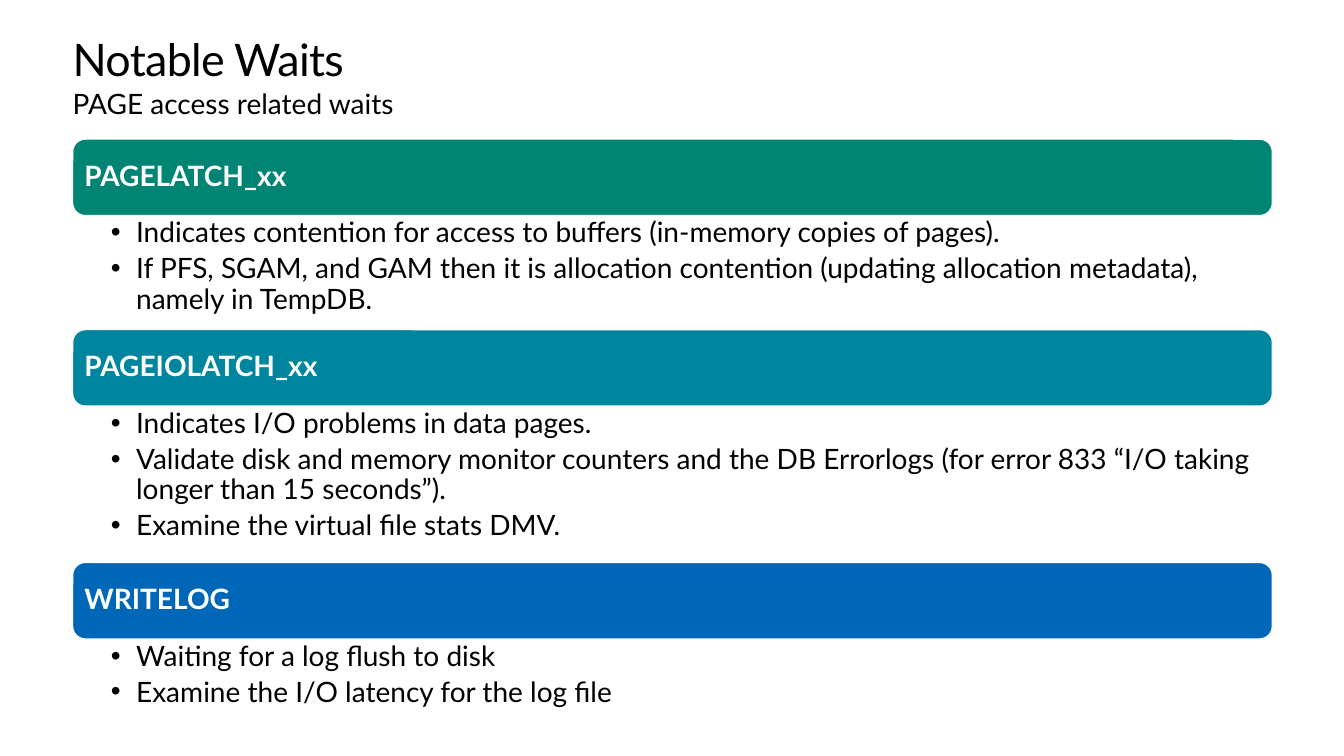
from dataclasses import dataclass

from lxml.etree import SubElement
from pptx import Presentation
from pptx.dml.color import RGBColor
from pptx.enum.shapes import MSO_SHAPE as Preset
from pptx.enum.text import MSO_ANCHOR as Anchor, MSO_AUTO_SIZE as AutoSize, PP_ALIGN as Align
from pptx.oxml.ns import qn
from pptx.util import Emu, Pt

EMU_PER_PX = 9144  # 100 px to the inch


@dataclass(frozen=True)
class Theme:
    font: str = "Lato"
    title_size: int = 32
    text_size: int = 20
    ink: str = "000000"
    paper: str = "FFFFFF"
    latch: str = "008575"
    io_latch: str = "00859E"
    log: str = "0067B8"


THEME = Theme()
LEFT, WIDTH = 72, 1190
FIRST_BAR_TOP, BAR_HEIGHT = 138, 76

# Heading, bar colour, list height, bullets
WAITS = [
    ("PAGELATCH_xx", THEME.latch, 113, [
        "Indicates contention for access to buffers (in-memory copies of pages).",
        "If PFS, SGAM, and GAM then it is allocation contention "
        "(updating allocation metadata), namely in TempDB.",
    ]),
    ("PAGEIOLATCH_xx", THEME.io_latch, 155, [
        "Indicates I/O problems in data pages.",
        "Validate disk and memory monitor counters and the DB Errorlogs "
        "(for error 833 “I/O taking longer than 15 seconds”).",
        "Examine the virtual file stats DMV.",
    ]),
    ("WRITELOG", THEME.log, 80, [
        "Waiting for a log flush to disk",
        "Examine the I/O latency for the log file",
    ]),
]


def px(length):
    return Emu(length * EMU_PER_PX)


def place(shape, top, height):
    """Give a shape the full content width at the given height on the slide."""
    shape.left, shape.top, shape.width, shape.height = map(px, (LEFT, top, WIDTH, height))


def add_bullet(paragraph):
    props = paragraph._p.get_or_add_pPr()
    props.set("marL", str(px(25)))
    props.set("indent", str(px(-25)))
    SubElement(props, qn("a:buFont")).set("typeface", "Arial")
    SubElement(props, qn("a:buChar")).set("char", "•")


def write(shape, lines, size=THEME.text_size, color=THEME.ink, bold=False, spacing=1.0,
          after=0, tracking=0, anchor=Anchor.TOP, margins=(0, 0, 0, 0), bullets=False):
    """Fill a shape with one paragraph per line; margins are left, top, right, bottom."""
    frame = shape.text_frame
    frame.word_wrap = True
    frame.auto_size = AutoSize.NONE
    frame.vertical_anchor = anchor
    (frame.margin_left, frame.margin_top,
     frame.margin_right, frame.margin_bottom) = map(px, margins)
    for index, line in enumerate(lines):
        paragraph = frame.paragraphs[0] if index == 0 else frame.add_paragraph()
        paragraph.alignment = Align.LEFT
        paragraph.line_spacing = spacing
        paragraph.space_before = Pt(0)
        paragraph.space_after = Pt(after)
        if bullets:
            add_bullet(paragraph)
        run = paragraph.add_run()
        run.text = line
        font = run.font
        font.name, font.size, font.bold = THEME.font, Pt(size), bold
        font.color.rgb = RGBColor.from_string(color)
        if tracking:
            run._r.get_or_add_rPr().set("spc", str(tracking))


def add_bar(slide, heading, color, top):
    bar = slide.shapes.add_shape(Preset.ROUNDED_RECTANGLE, 0, 0, 0, 0)
    place(bar, top, BAR_HEIGHT)
    bar.shadow.inherit = False
    bar.fill.solid()
    bar.fill.fore_color.rgb = RGBColor.from_string(color)
    bar.line.color.rgb = RGBColor.from_string(THEME.paper)
    bar.line.width = Pt(1)
    write(bar, [heading], color=THEME.paper, bold=True, spacing=0.9,
          anchor=Anchor.MIDDLE, margins=(8, 8, 8, 8))


def main():
    deck = Presentation()
    deck.slide_width, deck.slide_height = px(1333), px(750)
    comparison_layout = deck.slide_layouts[4]
    slide = deck.slides.add_slide(comparison_layout)
    title, subtitle, *wait_lists = slide.placeholders

    place(title, 35, 50)
    write(title, ["Notable Waits"], size=THEME.title_size, spacing=Pt(36.2), tracking=-50)
    place(subtitle, 86, 50)
    write(subtitle, ["PAGE access related waits"])

    top = FIRST_BAR_TOP
    for (heading, color, list_height, points), wait_list in zip(WAITS, wait_lists):
        add_bar(slide, heading, color, top)
        place(wait_list, top + BAR_HEIGHT, list_height)
        write(wait_list, points, spacing=0.9, after=4, margins=(38, 3, 16, 3), bullets=True)
        top += BAR_HEIGHT + list_height

    deck.save("out.pptx")


if __name__ == "__main__":
    main()
